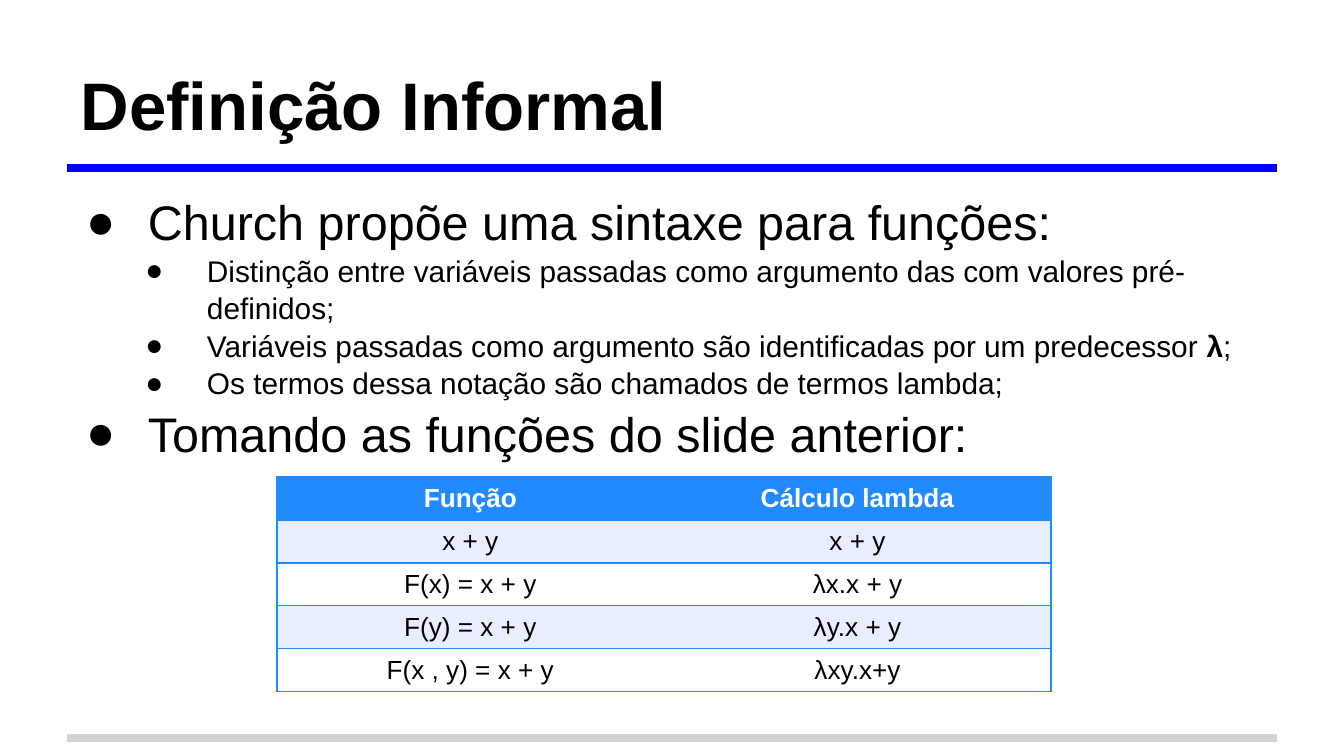
from typing import NamedTuple

from lxml.etree import SubElement
from pptx import Presentation
from pptx.dml.color import RGBColor
from pptx.enum.shapes import MSO_CONNECTOR
from pptx.enum.text import MSO_ANCHOR, MSO_AUTO_SIZE, PP_ALIGN
from pptx.oxml.ns import qn
from pptx.util import Pt

FONT = "Arial"
COLORS = {
    "text": "000000",
    "white": "FFFFFF",
    "rule": "0000FF",
    "foot": "CFD4D4",
    "head": "228AFF",
    "band": "E8EDFF",
}


class Rule(NamedTuple):
    top: float
    color: str


class Item(NamedTuple):
    level: int
    texts: tuple[str, ...]  # every second text is bold


class Style(NamedTuple):
    size: float
    indent: float


RULES = [Rule(395.3, "foot"), Rule(90, "rule")]
STYLES = [Style(26, 36), Style(16, 67.7)]
HANG = 33
ITEMS = [
    Item(0, ("Church propõe uma sintaxe para funções:",)),
    Item(1, ("Distinção entre variáveis passadas como argumento das com "
             "valores pré-definidos;",)),
    Item(1, ("Variáveis passadas como argumento são identificadas por um "
             "predecessor ", "λ", ";")),
    Item(1, ("Os termos dessa notação são chamados de termos lambda;",)),
    Item(0, ("Tomando as funções do slide anterior:",)),
]
ROWS = [
    ("Função", "Cálculo lambda"),
    ("x + y", "x + y"),
    ("F(x) = x + y", "λx.x + y"),
    ("F(y) = x + y", "λy.x + y"),
    ("F(x , y) = x + y", "λxy.x+y"),
]


def rgb(name: str) -> RGBColor:
    return RGBColor.from_string(COLORS[name])


def set_font(font, size: float, color: str, bold: bool = False) -> None:
    font.name, font.size, font.bold = FONT, Pt(size), bold
    font.color.rgb = rgb(color)


def draw_rule(slide, rule: Rule) -> None:
    line = slide.shapes.add_connector(
        MSO_CONNECTOR.STRAIGHT, Pt(36), Pt(rule.top), Pt(684), Pt(rule.top))
    line.line.color.rgb = rgb(rule.color)
    line.line.width = Pt(4)
    SubElement(line._element.spPr, qn("a:effectLst"))


def place(shape, top: float, height: float, anchor: MSO_ANCHOR):
    """Move a placeholder and return its text frame."""
    shape.left, shape.top = Pt(36), Pt(top)
    shape.width, shape.height = Pt(648), Pt(height)
    frame = shape.text_frame
    frame.auto_size, frame.word_wrap = MSO_AUTO_SIZE.NONE, True
    frame.vertical_anchor = anchor
    frame.margin_left = frame.margin_right = Pt(7.2)
    frame.margin_top = frame.margin_bottom = Pt(7.2)
    return frame


def add_bullet(para, indent: float) -> None:
    props = para._p.get_or_add_pPr()
    props.set("marL", str(Pt(indent)))
    props.set("indent", str(Pt(-HANG)))
    color = SubElement(props, qn("a:buClr"))
    SubElement(color, qn("a:srgbClr"), val=COLORS["text"])
    SubElement(props, qn("a:buFont"), typeface=FONT)
    SubElement(props, qn("a:buChar"), char="●")


def draw_item(para, item: Item) -> None:
    style = STYLES[item.level]
    para.level = item.level
    para.space_before = para.space_after = Pt(0)
    para.line_spacing = 1.05
    add_bullet(para, style.indent)
    set_font(para.font, style.size, "text")
    for i, text in enumerate(item.texts):
        run = para.add_run()
        run.text = text
        set_font(run.font, style.size, "text", i % 2 == 1)


def add_border(cell, sides: str) -> None:
    """Draw the given sides (L, R, T, B) and hide the others."""
    props = cell._tc.get_or_add_tcPr()
    for i, side in enumerate("LRTB"):
        line = props.makeelement(qn(f"a:ln{side}"), {"w": str(Pt(1))})
        props.insert(i, line)
        if side in sides:
            fill = SubElement(line, qn("a:solidFill"))
            SubElement(fill, qn("a:srgbClr"), val=COLORS["head"])
        else:
            SubElement(line, qn("a:noFill"))


def draw_table(slide) -> None:
    high = 22.9
    table = slide.shapes.add_table(
        len(ROWS), 2, Pt(148.3), Pt(255.6), Pt(414.8),
        Pt(high * len(ROWS))).table
    for r, texts in enumerate(ROWS):
        table.rows[r].height = Pt(high)
        for c, text in enumerate(texts):
            cell = table.cell(r, c)
            cell.text = text
            cell.fill.solid()
            fill = "head" if r == 0 else "band" if r % 2 else "white"
            cell.fill.fore_color.rgb = rgb(fill)
            para = cell.text_frame.paragraphs[0]
            para.alignment = PP_ALIGN.CENTER
            set_font(para.font, 14, "text" if r else "white", r == 0)
            add_border(cell, "RTB" if c else "LTB")


def main() -> None:
    deck = Presentation()
    deck.slide_width, deck.slide_height = Pt(720), Pt(405)
    slide = deck.slides.add_slide(deck.slide_layouts[1])
    for rule in RULES:
        draw_rule(slide, rule)

    title = place(slide.shapes.title, 16.6, 67.7, MSO_ANCHOR.BOTTOM)
    title.text = "Definição Informal"
    head = title.paragraphs[0]
    head.alignment = PP_ALIGN.LEFT
    set_font(head.font, 36, "text", True)

    body = place(slide.placeholders[1], 94.3, 293, MSO_ANCHOR.TOP)
    for i, item in enumerate(ITEMS):
        draw_item(body.add_paragraph() if i else body.paragraphs[0], item)

    draw_table(slide)
    deck.save("out.pptx")


if __name__ == "__main__":
    main()
